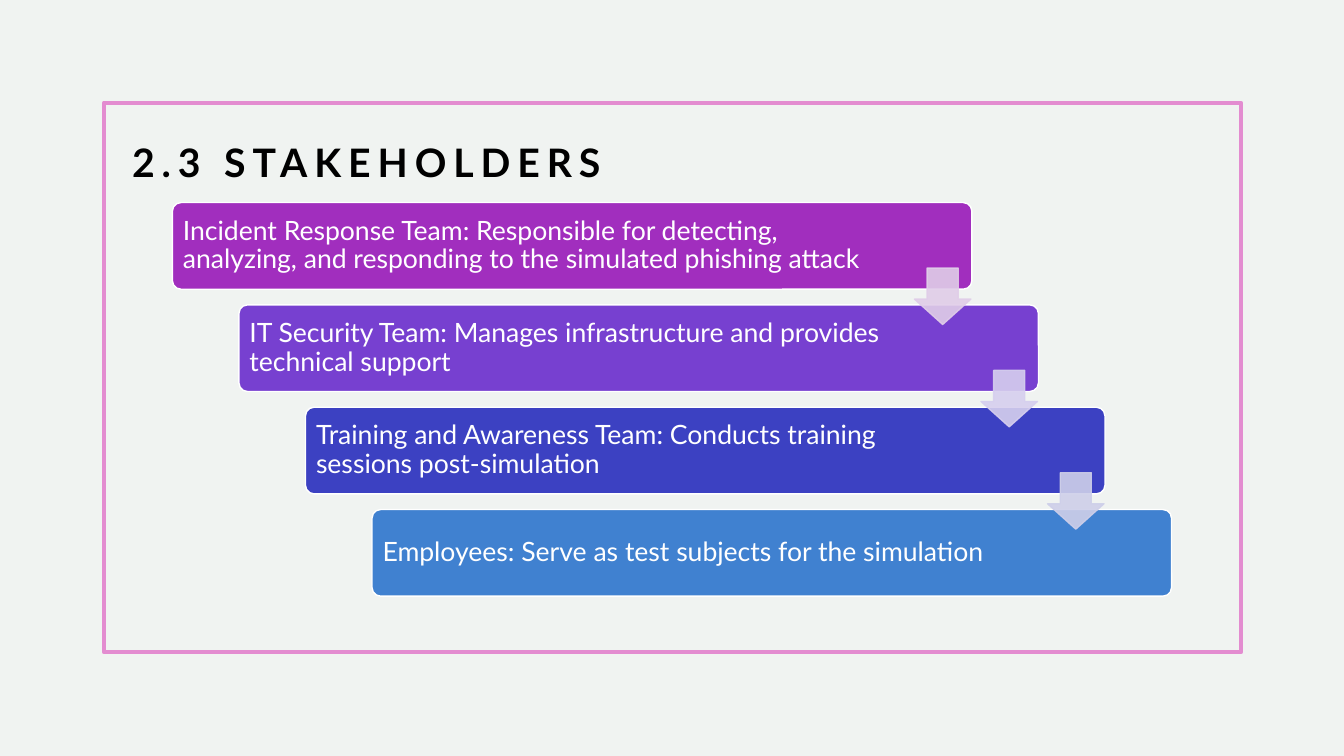
from dataclasses import dataclass

from lxml import etree
from pptx import Presentation, util as u
from pptx.dml.color import RGBColor
from pptx.enum import shapes, text
from pptx.oxml.ns import qn


@dataclass(frozen=True)
class Theme:
    font: str = "Lato"
    background: str = "F0F3F1"
    frame: str = "E38CD0"
    title: str = "000000"
    light: str = "FFFFFF"
    title_size: int = 28
    step_size: int = 19


theme = Theme()


def add_span(para, words, size, color, bold=False):
    span = para.add_run()
    span.text = words
    span.font.name = theme.font
    span.font.size = u.Pt(size)
    span.font.bold = bold
    span.font.color.rgb = RGBColor.from_string(color)
    return span


def paint(shape, color, line_color, opacity=100):
    shape.shadow.inherit = False
    shape.fill.solid()
    shape.fill.fore_color.rgb = RGBColor.from_string(color)
    shape.line.color.rgb = RGBColor.from_string(line_color)
    shape.line.width = u.Pt(1)
    if opacity < 100:
        for tint in shape._element.spPr.iter(qn("a:srgbClr")):
            etree.SubElement(tint, qn("a:alpha")).set("val", str(opacity * 1000))


deck = Presentation()
deck.slide_width, deck.slide_height = u.Inches(13.33), u.Inches(7.5)
page = deck.slides.add_slide(deck.slide_layouts[5])
page.background.fill.solid()
page.background.fill.fore_color.rgb = RGBColor.from_string(theme.background)

# Frame
frame = page.shapes.add_shape(
    shapes.MSO_SHAPE.RECTANGLE,
    u.Inches(1.03), u.Inches(1.02), u.Inches(11.28), u.Inches(5.45))
frame.shadow.inherit = False
frame.fill.background()
frame.line.color.rgb = RGBColor.from_string(theme.frame)
frame.line.width = u.Pt(3)

# Title
title = page.shapes.title
title.left, title.top = u.Inches(1.21), u.Inches(1.23)
title.width, title.height = u.Inches(7.93), u.Inches(0.66)
title.text_frame.vertical_anchor = text.MSO_ANCHOR.MIDDLE
title.text_frame.word_wrap = True
title.text_frame.auto_size = text.MSO_AUTO_SIZE.NONE
para = title.text_frame.paragraphs[0]
para.alignment = text.PP_ALIGN.LEFT
para.line_spacing = 1.2
span = add_span(para, "2.3 STAKEHOLDERS", theme.title_size, theme.title, bold=True)
span.font._element.set("spc", "500")

# Staircase of stakeholders: words, fill, right inset
steps = [
    ("Incident Response Team: Responsible for detecting, analyzing, "
     "and responding to the simulated phishing attack", "A12EBE", 1.03),
    ("IT Security Team: Manages infrastructure and provides technical support",
     "7740D0", 1.3),
    ("Training and Awareness Team: Conducts training sessions post-simulation",
     "3C41C2", 1.3),
    ("Employees: Serve as test subjects for the simulation", "4081D0", 1.3),
]
left, top, width, height = 1.71, 2.01, 7.93, 0.86
step_x, step_y = 0.66, 1.015
for i, (words, color, right_inset) in enumerate(steps):
    box = page.shapes.add_shape(
        shapes.MSO_SHAPE.ROUNDED_RECTANGLE,
        u.Inches(left + i * step_x), u.Inches(top + i * step_y),
        u.Inches(width), u.Inches(height))
    box.adjustments[0] = 0.1
    paint(box, color, theme.light)
    body = box.text_frame
    body.word_wrap = True
    body.vertical_anchor = text.MSO_ANCHOR.MIDDLE
    body.margin_left = body.margin_top = body.margin_bottom = u.Inches(0.08)
    body.margin_right = u.Inches(right_inset)
    para = body.paragraphs[0]
    para.alignment = text.PP_ALIGN.LEFT
    para.line_spacing = 0.9
    add_span(para, words, theme.step_size, theme.light)

# Arrows between the steps
for i, color in enumerate(["E0CDE8", "D6CFEE", "CECFE9"]):
    arrow = page.shapes.add_shape(
        shapes.MSO_SHAPE.DOWN_ARROW,
        u.Inches(9.07 + i * step_x), u.Inches(2.66 + i * step_y),
        u.Inches(0.56), u.Inches(0.56))
    arrow.adjustments[0] = 0.55
    arrow.adjustments[1] = 0.45
    paint(arrow, color, color, opacity=90)

deck.save("out.pptx")
